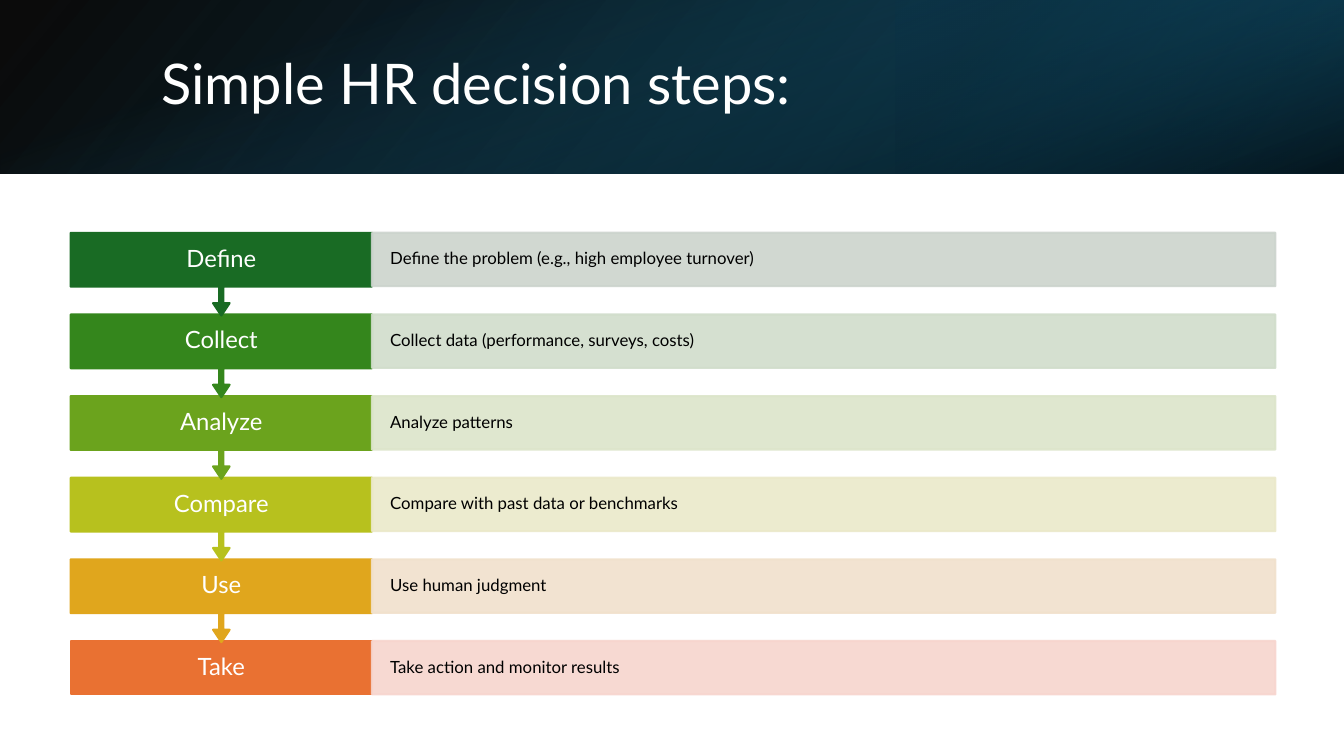
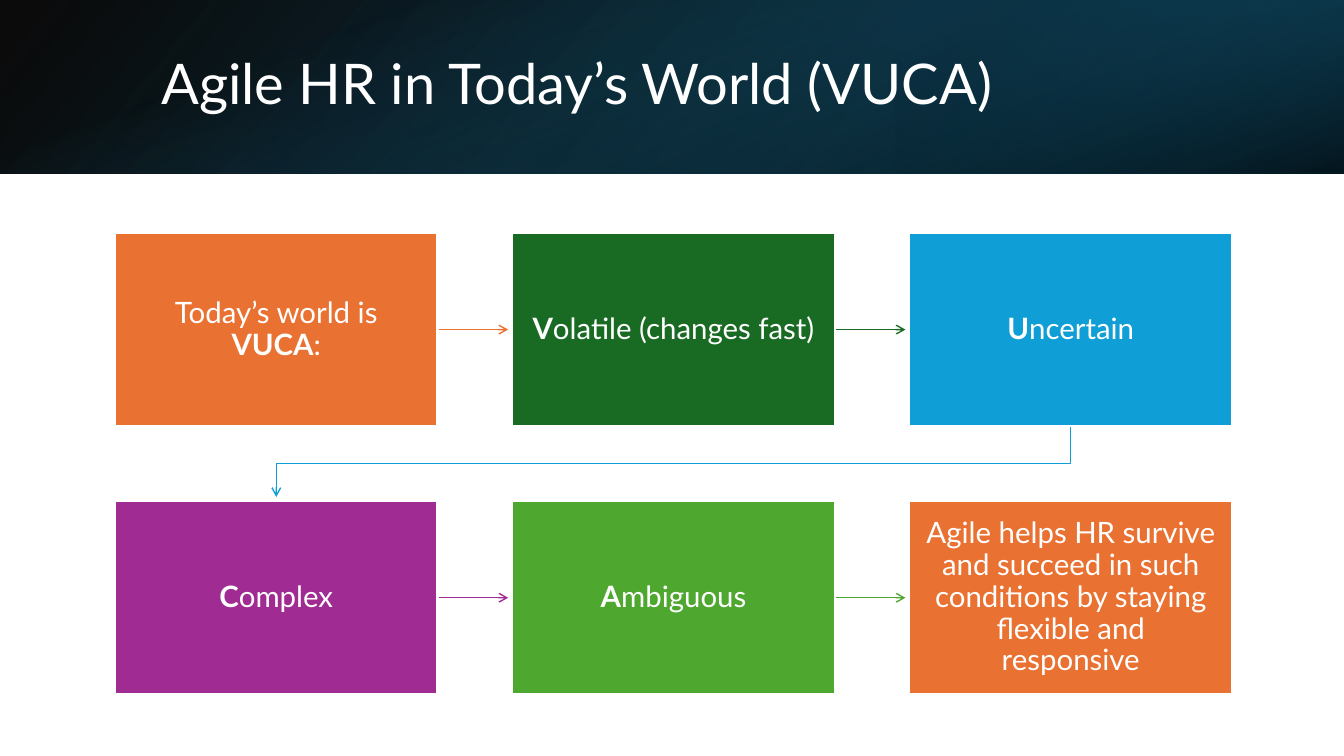
from dataclasses import dataclass

from lxml.etree import SubElement
from pptx import Presentation
from pptx.dml.color import RGBColor
from pptx.enum.shapes import MSO_CONNECTOR, MSO_SHAPE
from pptx.enum.text import MSO_ANCHOR, MSO_AUTO_SIZE, PP_ALIGN
from pptx.oxml.ns import qn
from pptx.util import Inches, Pt

SLIDE_WIDTH = 13.33
SLIDE_HEIGHT = 7.5
BAND_HEIGHT = 1.72
TITLE_ONLY_LAYOUT = 5
FONT = "Lato"

WHITE = RGBColor(0xFF, 0xFF, 0xFF)
BLACK = RGBColor(0x00, 0x00, 0x00)
NAVY = RGBColor(0x0B, 0x30, 0x41)
DEEP_TEAL = RGBColor(0x10, 0x48, 0x62)
TEAL = RGBColor(0x15, 0x60, 0x82)
ORANGE = RGBColor(0xE9, 0x71, 0x32)
AMBER = RGBColor(0xE0, 0xA6, 0x1D)
LIME = RGBColor(0xB7, 0xC1, 0x1E)
LEAF = RGBColor(0x6B, 0xA3, 0x1D)
GRASS = RGBColor(0x34, 0x86, 0x1C)
FOREST = RGBColor(0x19, 0x6B, 0x24)
BLUE = RGBColor(0x0F, 0x9E, 0xD5)
PURPLE = RGBColor(0xA0, 0x2B, 0x93)
GREEN = RGBColor(0x4E, 0xA7, 0x2E)
PALE_FOREST = RGBColor(0xCC, 0xD4, 0xCD)
PALE_GRASS = RGBColor(0xD1, 0xDD, 0xCB)
PALE_LEAF = RGBColor(0xDC, 0xE5, 0xCA)
PALE_LIME = RGBColor(0xEB, 0xE9, 0xCA)
PALE_AMBER = RGBColor(0xF1, 0xE1, 0xCC)
PALE_ORANGE = RGBColor(0xF7, 0xD5, 0xCE)


@dataclass(frozen=True)
class Box:
    left: float
    top: float
    width: float
    height: float

    def lengths(self):
        return tuple(Inches(n) for n in (self.left, self.top, self.width, self.height))


@dataclass(frozen=True)
class Grid:
    left: float
    top: float
    width: float
    height: float
    column_gap: float
    row_gap: float

    def cell(self, column: int, row: int) -> Box:
        return Box(
            self.left + column * (self.width + self.column_gap),
            self.top + row * (self.height + self.row_gap),
            self.width,
            self.height,
        )


@dataclass(frozen=True)
class Stop:
    position: float
    color: RGBColor
    opacity: int


@dataclass(frozen=True)
class BandLayer:
    box: Box
    rotation: int
    flipped: bool
    angle: int
    stops: tuple[Stop, Stop]


@dataclass(frozen=True)
class TextStyle:
    size: int
    color: RGBColor
    alignment: PP_ALIGN
    side_inset: float
    end_inset: float


@dataclass(frozen=True)
class Words:
    text: str
    bold: bool = False


@dataclass(frozen=True)
class Step:
    label: str
    detail: str
    color: RGBColor
    tint: RGBColor


@dataclass(frozen=True)
class Card:
    words: tuple[Words, ...]
    color: RGBColor


TITLE_BOX = Box(1.5, 0.38, 10.98, 0.96)
TITLE_STYLE = TextStyle(40, WHITE, PP_ALIGN.LEFT, 0.1, 0.05)
LABEL_STYLE = TextStyle(17, WHITE, PP_ALIGN.CENTER, 0.21, 0.13)
DETAIL_STYLE = TextStyle(12, BLACK, PP_ALIGN.LEFT, 0.18, 0.17)
CARD_STYLE = TextStyle(21, WHITE, PP_ALIGN.CENTER, 0.16, 0.16)

BAND_LAYERS = (
    BandLayer(Box(0, 0, SLIDE_WIDTH, BAND_HEIGHT), 0, True, 140,
              (Stop(0, BLACK, 96), Stop(1, DEEP_TEAL, 100))),
    BandLayer(Box(SLIDE_WIDTH * 2 / 3, 0, SLIDE_WIDTH / 3, BAND_HEIGHT), 180, True, 320,
              (Stop(0.19, NAVY, 68), Stop(1, TEAL, 79))),
    BandLayer(Box((SLIDE_WIDTH - BAND_HEIGHT) / 2, (BAND_HEIGHT - SLIDE_WIDTH) / 2,
                  BAND_HEIGHT, SLIDE_WIDTH), 90, False, 340,
              (Stop(0.23, TEAL, 0), Stop(0.99, BLACK, 74))),
)

STEP_GRID = Grid(0.7, 2.31, 2.99, 0.53, 0, 0.28)
DETAIL_WIDTH = 8.96
CALLOUT_HEIGHT = 0.82
CALLOUT_ADJUSTMENTS = (0.05, 0.1, 0.15, 0.65)
STEPS = (
    Step("Define", "Define the problem (e.g., high employee turnover)", FOREST, PALE_FOREST),
    Step("Collect", "Collect data (performance, surveys, costs)", GRASS, PALE_GRASS),
    Step("Analyze", "Analyze patterns", LEAF, PALE_LEAF),
    Step("Compare", "Compare with past data or benchmarks", LIME, PALE_LIME),
    Step("Use", "Use human judgment", AMBER, PALE_AMBER),
    Step("Take", "Take action and monitor results", ORANGE, PALE_ORANGE),
)

CARD_GRID = Grid(1.14, 2.31, 3.2, 1.92, 0.74, 0.74)
CARD_COLUMNS = 3
ARROW_CLEARANCE = 0.04
CARDS = (
    Card((Words("Today’s world is "), Words("VUCA", True), Words(":")), ORANGE),
    Card((Words("V", True), Words("olatile (changes fast)")), FOREST),
    Card((Words("U", True), Words("ncertain")), BLUE),
    Card((Words("C", True), Words("omplex")), PURPLE),
    Card((Words("A", True), Words("mbiguous")), GREEN),
    Card((Words("Agile helps HR survive and succeed in such conditions "
                "by staying flexible and responsive"),), ORANGE),
)


def set_opacity(shape, opacities: tuple[int, ...]) -> None:
    colors = list(shape._element.spPr.iter(qn("a:srgbClr")))
    for color, opacity in zip(colors, opacities):
        SubElement(color, qn("a:alpha"), val=str(opacity * 1000))


def write_text(shape, words: tuple[Words, ...], style: TextStyle) -> None:
    frame = shape.text_frame
    frame.word_wrap = True
    frame.auto_size = MSO_AUTO_SIZE.NONE
    frame.vertical_anchor = MSO_ANCHOR.MIDDLE
    frame.margin_left = frame.margin_right = Inches(style.side_inset)
    frame.margin_top = frame.margin_bottom = Inches(style.end_inset)
    paragraph = frame.paragraphs[0]
    paragraph.alignment = style.alignment
    paragraph.line_spacing = 0.9
    for part in words:
        run = paragraph.add_run()
        run.text = part.text
        run.font.name = FONT
        run.font.size = Pt(style.size)
        run.font.bold = part.bold
        run.font.color.rgb = style.color


def add_filled_shape(slide, preset: MSO_SHAPE, box: Box, fill: RGBColor, line: RGBColor):
    shape = slide.shapes.add_shape(preset, *box.lengths())
    shape.shadow.inherit = False
    shape.fill.solid()
    shape.fill.fore_color.rgb = fill
    shape.line.color.rgb = line
    shape.line.width = Pt(1.5)
    return shape


def add_band_layer(slide, layer: BandLayer) -> None:
    shape = slide.shapes.add_shape(MSO_SHAPE.RECTANGLE, *layer.box.lengths())
    shape.shadow.inherit = False
    shape.line.fill.background()
    shape.rotation = layer.rotation
    if layer.flipped:
        shape._element.spPr.find(qn("a:xfrm")).set("flipH", "1")
    shape.fill.gradient()
    shape.fill.gradient_angle = 360 - layer.angle
    for gradient_stop, stop in zip(shape.fill.gradient_stops, layer.stops):
        gradient_stop.position = stop.position
        gradient_stop.color.rgb = stop.color
    set_opacity(shape, tuple(stop.opacity for stop in layer.stops))


def add_titled_slide(presentation, title_text: str):
    slide = presentation.slides.add_slide(presentation.slide_layouts[TITLE_ONLY_LAYOUT])
    for layer in BAND_LAYERS:
        add_band_layer(slide, layer)
    title = slide.shapes.title
    title.left, title.top, title.width, title.height = TITLE_BOX.lengths()
    write_text(title, (Words(title_text),), TITLE_STYLE)
    slide.shapes._spTree.append(title._element)
    return slide


def add_step(slide, step: Step, row: int) -> None:
    cell = STEP_GRID.cell(0, row)
    if row == len(STEPS) - 1:
        add_filled_shape(slide, MSO_SHAPE.RECTANGLE, cell, step.color, step.color)
    else:
        callout_box = Box(cell.left, cell.top, cell.width, CALLOUT_HEIGHT)
        callout = add_filled_shape(
            slide, MSO_SHAPE.UP_ARROW_CALLOUT, callout_box, step.color, step.color)
        callout.rotation = 180
        for index, value in enumerate(CALLOUT_ADJUSTMENTS):
            callout.adjustments[index] = value
    label = slide.shapes.add_textbox(*cell.lengths())
    write_text(label, (Words(step.label),), LABEL_STYLE)
    detail_box = Box(cell.left + cell.width, cell.top, DETAIL_WIDTH, cell.height)
    detail = add_filled_shape(slide, MSO_SHAPE.RECTANGLE, detail_box, step.tint, step.tint)
    set_opacity(detail, (90, 90))
    write_text(detail, (Words(step.detail),), DETAIL_STYLE)


def style_arrow(arrow, color: RGBColor) -> None:
    arrow.line.color.rgb = color
    arrow.line.width = Pt(1)
    SubElement(arrow.line._get_or_add_ln(), qn("a:tailEnd"), type="arrow")


def add_row_arrow(slide, card_shape, box: Box, color: RGBColor) -> None:
    start = box.left + box.width
    end = start + CARD_GRID.column_gap - ARROW_CLEARANCE
    middle = Inches(box.top + box.height / 2)
    arrow = slide.shapes.add_connector(
        MSO_CONNECTOR.STRAIGHT, Inches(start), middle, Inches(end), middle)
    arrow.begin_connect(card_shape, 3)
    style_arrow(arrow, color)
    SubElement(arrow._element.spPr, qn("a:effectLst"))
    card_shape._element.addprevious(arrow._element)


def add_return_arrow(slide, card_shape, box: Box, target: Box, color: RGBColor) -> None:
    start_x = Inches(box.left + box.width / 2)
    end_x = Inches(target.left + target.width / 2)
    bottom = box.top + box.height
    turn_y = Inches((bottom + target.top) / 2)
    builder = slide.shapes.build_freeform(start_x, Inches(bottom))
    builder.add_line_segments(
        ((start_x, turn_y), (end_x, turn_y), (end_x, Inches(target.top - ARROW_CLEARANCE))),
        close=False)
    arrow = builder.convert_to_shape()
    arrow.shadow.inherit = False
    arrow.fill.background()
    style_arrow(arrow, color)
    card_shape._element.addprevious(arrow._element)


def add_card(slide, card: Card, index: int) -> None:
    row, column = divmod(index, CARD_COLUMNS)
    box = CARD_GRID.cell(column, row)
    shape = add_filled_shape(slide, MSO_SHAPE.RECTANGLE, box, card.color, WHITE)
    write_text(shape, card.words, CARD_STYLE)
    if column < CARD_COLUMNS - 1:
        add_row_arrow(slide, shape, box, card.color)
    elif index < len(CARDS) - 1:
        add_return_arrow(slide, shape, box, CARD_GRID.cell(0, row + 1), card.color)


def main() -> None:
    presentation = Presentation()
    presentation.slide_width = Inches(SLIDE_WIDTH)
    presentation.slide_height = Inches(SLIDE_HEIGHT)
    steps_slide = add_titled_slide(presentation, "Simple HR decision steps:")
    for row, step in reversed(list(enumerate(STEPS))):
        add_step(steps_slide, step, row)
    cards_slide = add_titled_slide(presentation, "Agile HR in Today’s World (VUCA)")
    for index, card in enumerate(CARDS):
        add_card(cards_slide, card, index)
    presentation.save("out.pptx")


if __name__ == "__main__":
    main()
